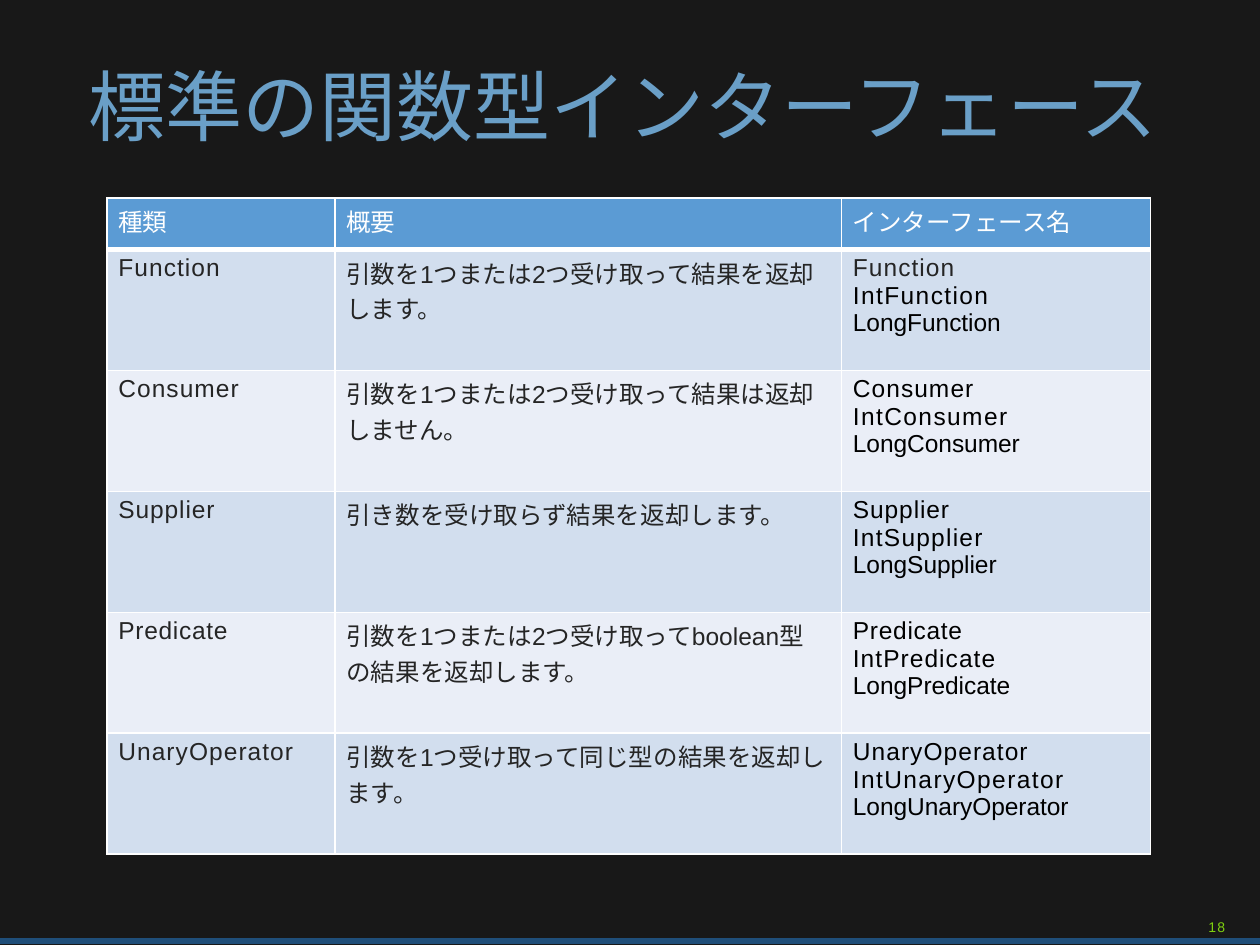
from itertools import groupby

from lxml.etree import SubElement
from pptx import Presentation
from pptx.dml.color import RGBColor
from pptx.enum.lang import MSO_LANGUAGE_ID
from pptx.enum.shapes import MSO_CONNECTOR
from pptx.enum.text import MSO_ANCHOR, PP_ALIGN
from pptx.oxml.ns import qn
from pptx.util import Inches, Pt

color = RGBColor.from_string


def add_run(paragraph, text, size, font_name, hex_color, spacing=0):
    run = paragraph.add_run()
    run.text = text
    run.font.size = Pt(size)
    run.font.name = font_name
    run.font.bold = False
    run.font.color.rgb = color(hex_color)
    run.font.language_id = MSO_LANGUAGE_ID.JAPANESE
    if spacing:
        run.font._element.set("spc", str(round(spacing * 100)))


def format_cell(cell, fill, top_width, bottom_width):
    properties = cell._tc.get_or_add_tcPr()
    for side, width in (("L", 1), ("R", 1), ("T", top_width), ("B", bottom_width)):
        line = SubElement(properties, qn("a:ln" + side), w=str(Pt(width)))
        SubElement(SubElement(line, qn("a:solidFill")), qn("a:srgbClr"), val="FFFFFF")
    cell.fill.solid()
    cell.fill.fore_color.rgb = color(fill)
    cell.margin_left = cell.margin_right = Inches(0.09)
    cell.margin_top = Inches(0.04)
    cell.margin_bottom = 0
    cell.text_frame.paragraphs[0].space_before = Pt(3)


presentation = Presentation()
presentation.slide_width = Inches(10)
presentation.slide_height = Inches(7.5)
slide = presentation.slides.add_slide(presentation.slide_layouts[5])
slide.background.fill.solid()
slide.background.fill.fore_color.rgb = color("181818")

# Bottom rule
rule = slide.shapes.add_connector(
    MSO_CONNECTOR.STRAIGHT, 0, Inches(7.47), Inches(10), Inches(7.47))
rule.line.color.rgb = color("1F4E79")
rule.line.width = Pt(3.6)
SubElement(rule._element.spPr, qn("a:effectLst"))

# Title and slide number
title = slide.shapes.title
title.left, title.top, title.width, title.height = map(Inches, (0.7, 0.49, 8.62, 0.71))
number = slide.shapes.add_textbox(*map(Inches, (9.56, 7.27, 0.28, 0.18)))
for shape in (title, number):
    frame = shape.text_frame
    frame.word_wrap = True
    frame.vertical_anchor = MSO_ANCHOR.TOP
    frame.margin_left = frame.margin_right = frame.margin_top = frame.margin_bottom = 0
    frame.paragraphs[0].alignment = PP_ALIGN.LEFT
title_paragraph = title.text_frame.paragraphs[0]
title_paragraph.line_spacing = Pt(51.2)
add_run(title_paragraph, "標準の関数型インターフェース", 44, "Courier New", "6A9FC7")
number.text_frame.margin_left = Inches(0.03)
number.text_frame.margin_top = Inches(0.02)
number_paragraph = number.text_frame.paragraphs[0]
number_paragraph.space_before = Pt(1.4)
add_run(number_paragraph, "18", 8, "Arial", "7FD10F", 0.8)

# Table: kind, description paragraphs, letter spacing of the kind
headings = ["種類", "概要", "インターフェース名"]
interfaces = [
    ("Function", ["引数を1つまたは2つ受け取って結果を返却 します。"], 0.6),
    ("Consumer", ["引数を1つまたは2つ受け取って結果は返却 しません。"], 0.6),
    ("Supplier", ["引き数を受け取らず結果を返却します。"], 0.5),
    ("Predicate", ["引数を1つまたは2つ受け取ってboolean型", "の結果を返却します。"], 0.4),
    ("UnaryOperator", ["引数を1つ受け取って同じ型の結果を返却し ます。"], 0.6),
]
table = slide.shapes.add_table(
    len(interfaces) + 1, 3, *map(Inches, (0.85, 1.57, 8.28, 5.21))).table
table.first_row = table.horz_banding = False
for column, width in zip(table.columns, (1.81, 4.02, 2.45)):
    column.width = Inches(width)
for index, row in enumerate(table.rows):
    row.height = Inches(0.96 if index else 0.41)

# Header row
for column, heading in enumerate(headings):
    cell = table.cell(0, column)
    format_cell(cell, "5B9BD4", 1, 3)
    add_run(cell.text_frame.paragraphs[0], heading, 14, "Courier New", "FFFFFF")

# Body rows
for row, (kind, descriptions, spacing) in enumerate(interfaces, 1):
    cells = [table.cell(row, column) for column in range(3)]
    for cell in cells:
        format_cell(cell, "D2DEEE" if row % 2 else "EAEEF7", 3 if row == 1 else 1, 1)
    kind_frame, description_frame, names_frame = [cell.text_frame for cell in cells]

    add_run(kind_frame.paragraphs[0], kind, 14, "Arial", "252525", spacing)

    for index, description in enumerate(descriptions):
        paragraph = (description_frame.add_paragraph() if index
                     else description_frame.paragraphs[0])
        for latin, letters in groupby(description, lambda c: c.isascii() and c.isalnum()):
            add_run(paragraph, "".join(letters), 14,
                    "Arial" if latin else "Courier New", "252525")

    paragraph = names_frame.paragraphs[0]
    variants = (("", spacing), ("Int", spacing + 0.2), ("Long", -0.05))
    for prefix, variant_spacing in variants:
        if prefix:
            paragraph.add_line_break()
        name_color = "252525" if row == 1 and not prefix else "000000"
        add_run(paragraph, prefix + kind, 14, "Arial", name_color, variant_spacing)

presentation.save("out.pptx")
